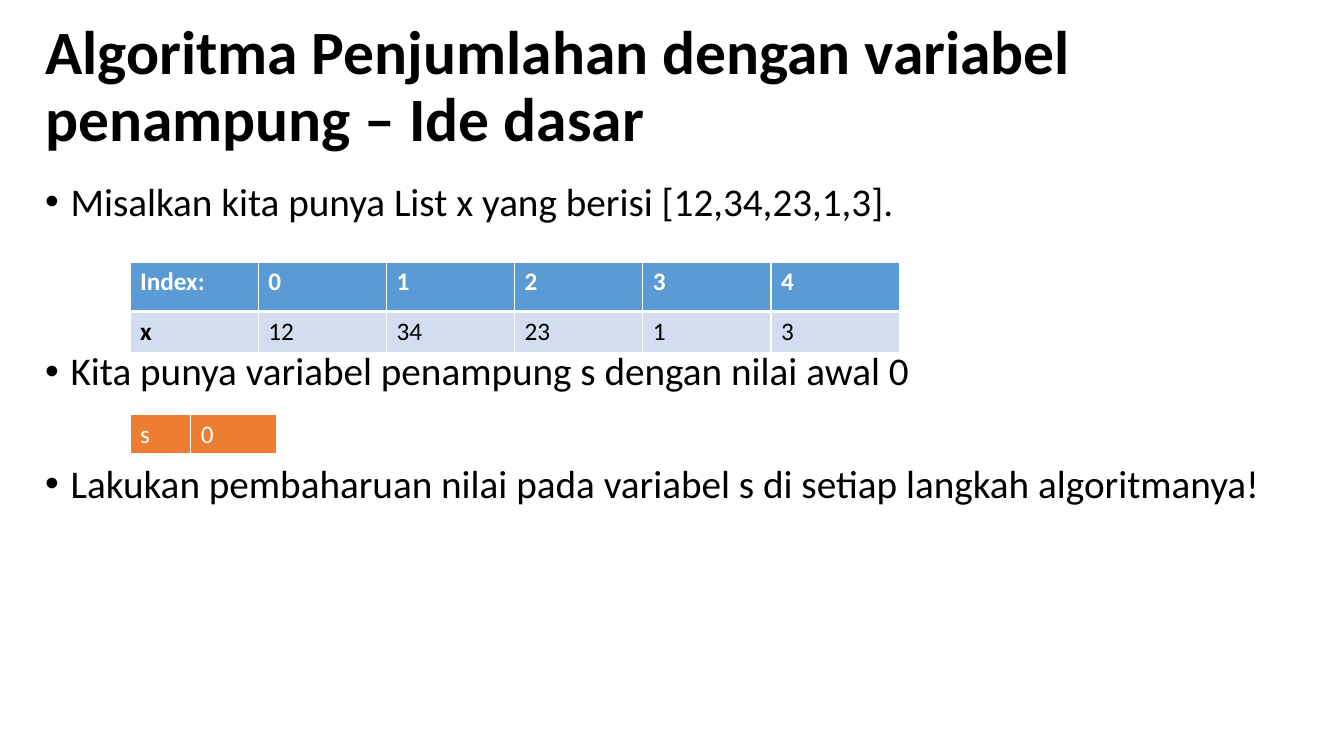
from lxml import etree
from pptx import Presentation
from pptx.dml.color import RGBColor
from pptx.enum.text import MSO_ANCHOR, MSO_AUTO_SIZE, PP_ALIGN
from pptx.oxml.ns import qn
from pptx.util import Cm, Pt

LEFT = PP_ALIGN.LEFT
TOP, MIDDLE = MSO_ANCHOR.TOP, MSO_ANCHOR.MIDDLE
NO_AUTOFIT = MSO_AUTO_SIZE.NONE
FONT = "Calibri"
COLORS = {"black": "000000", "white": "FFFFFF", "blue": "5B9BD5",
          "pale_blue": "D2DEEF", "orange": "ED7D31"}


def add_run(paragraph, text, size, color="black", bold=False):
    run = paragraph.add_run()
    run.text = text
    run.font.name = FONT
    run.font.size = Pt(size)
    run.font.bold = bold
    run.font.color.rgb = RGBColor.from_string(COLORS[color])


def style_cell(cell, text, fill, color, bold, top, bottom):
    add_run(cell.text_frame.paragraphs[0], text, 18, color, bold)
    # White borders, widths in points; they come before the fill
    properties = cell._tc.get_or_add_tcPr()
    for side, width in (("L", 1), ("R", 1), ("T", top), ("B", bottom)):
        line = etree.SubElement(properties, qn(f"a:ln{side}"), w=str(Pt(width)))
        line_fill = etree.SubElement(line, qn("a:solidFill"))
        etree.SubElement(line_fill, qn("a:srgbClr"), val=COLORS["white"])
    cell.fill.solid()
    cell.fill.fore_color.rgb = RGBColor.from_string(COLORS[fill])


presentation = Presentation()
presentation.slide_width = Cm(33.87)
presentation.slide_height = Cm(19.05)
slide = presentation.slides.add_slide(presentation.slide_layouts[5])

# Title
title = slide.shapes.title
title.left, title.top, title.width, title.height = Cm(0.89), Cm(0.38), Cm(27.89), Cm(3.68)
title.text_frame.auto_size = NO_AUTOFIT
title.text_frame.word_wrap = True
title.text_frame.vertical_anchor = MIDDLE
paragraph = title.text_frame.paragraphs[0]
paragraph.alignment = LEFT
paragraph.line_spacing = 0.9
add_run(paragraph, "Algoritma Penjumlahan dengan variabel penampung – Ide dasar", 44, bold=True)

# Bullets, spaced to leave room for the tables
bullets = [
    ("Misalkan kita punya List x yang berisi [12,34,23,1,3].", 0),
    ("Kita punya variabel penampung s dengan nilai awal 0", 91),
    ("Lakukan pembaharuan nilai pada variabel s di setiap langkah algoritmanya!", 50),
]
body = slide.shapes.add_textbox(Cm(0.89), Cm(4.47), Cm(32.16), Cm(12.83))
frame = body.text_frame
frame.word_wrap = True
frame.vertical_anchor = TOP
for number, (text, space_before) in enumerate(bullets):
    paragraph = frame.add_paragraph() if number else frame.paragraphs[0]
    paragraph.line_spacing = 0.9
    paragraph.space_before = Pt(space_before)
    properties = paragraph._p.get_or_add_pPr()
    properties.set("marL", str(Cm(0.64)))
    properties.set("indent", str(Cm(-0.64)))
    etree.SubElement(properties, qn("a:buFont"), typeface="Arial")
    etree.SubElement(properties, qn("a:buChar"), char="•")
    add_run(paragraph, text, 28)

# Tables: top, column widths, and per row its height, texts, fill, text colour,
# bold columns, top and bottom border
tables = [
    (6.6, [3.23] * 6, [
        (1.25, ["Index:", "0", "1", "2", "3", "4"], "blue", "white", 6, 1, 3),
        (1.03, ["x", "12", "34", "23", "1", "3"], "pale_blue", "black", 1, 3, 1),
    ]),
    (10.44, [1.53, 2.17], [
        (1.03, ["s", "0"], "orange", "white", 0, 1, 3),
    ]),
]
for top, widths, rows in tables:
    height = sum(row[0] for row in rows)
    table = slide.shapes.add_table(len(rows), len(widths), Cm(3.28), Cm(top),
                                   Cm(sum(widths)), Cm(height)).table
    table.first_row = False
    table.horz_banding = False
    for column, width in zip(table.columns, widths):
        column.width = Cm(width)
    for row, (row_height, texts, fill, color, bold_columns, above, below) in zip(table.rows, rows):
        row.height = Cm(row_height)
        for number, (cell, text) in enumerate(zip(row.cells, texts)):
            style_cell(cell, text, fill, color, number < bold_columns, above, below)

presentation.save("out.pptx")
